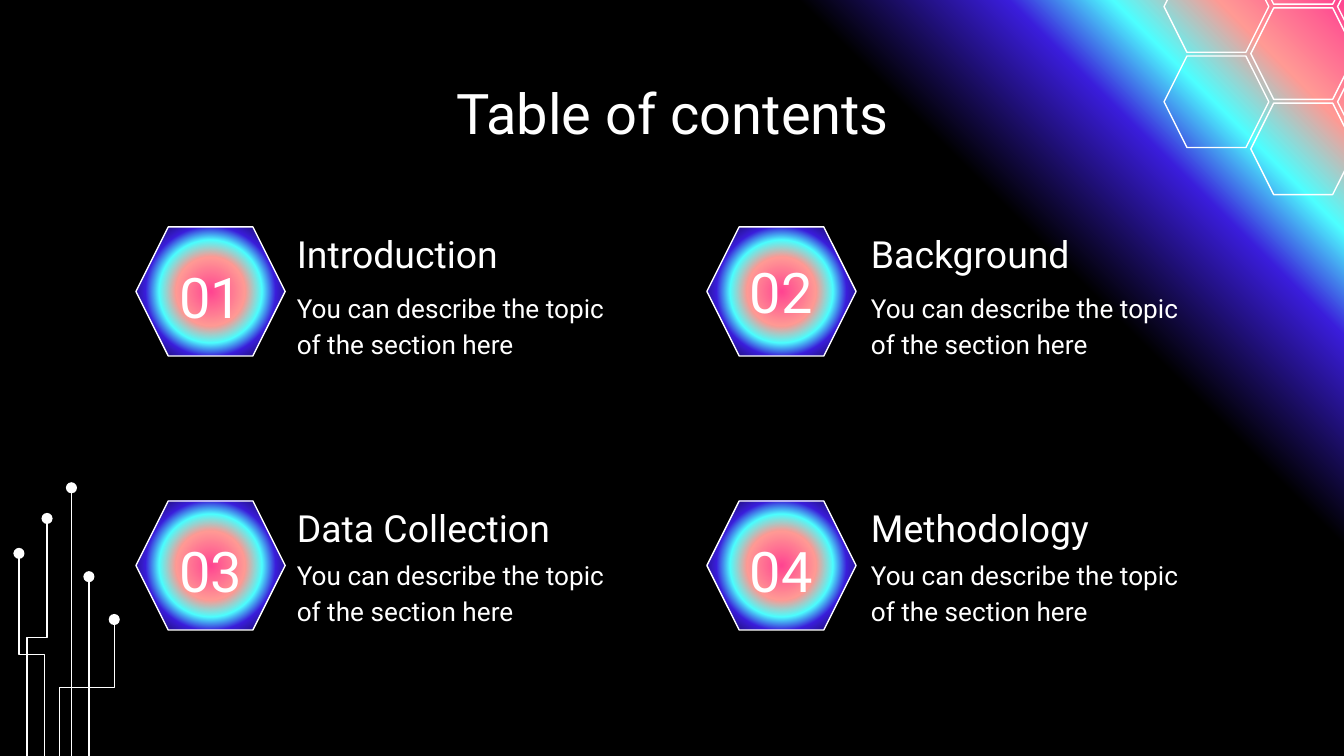
from dataclasses import dataclass

from lxml import etree
from pptx import Presentation
from pptx.dml.color import RGBColor
from pptx.enum.shapes import MSO_CONNECTOR, MSO_SHAPE
from pptx.enum.text import MSO_ANCHOR, PP_ALIGN
from pptx.oxml.ns import qn
from pptx.util import Cm, Pt

HEXAGON = MSO_SHAPE.HEXAGON
STRAIGHT, ELBOW = MSO_CONNECTOR.STRAIGHT, MSO_CONNECTOR.ELBOW
LEFT, CENTER = PP_ALIGN.LEFT, PP_ALIGN.CENTER
TOP, MIDDLE, BOTTOM = MSO_ANCHOR.TOP, MSO_ANCHOR.MIDDLE, MSO_ANCHOR.BOTTOM


@dataclass(frozen=True)
class Theme:
    font: str = "Roboto"
    white: RGBColor = RGBColor(255, 255, 255)
    black: str = "000000"
    blue: str = "3A1DDB"
    cyan: str = "4DFFFF"
    peach: str = "FF9A94"
    pink: str = "FF4491"
    gray: str = "737373"
    title: int = 30
    heading: int = 20
    body: int = 14
    line: float = 0.75


theme = Theme()


def set_gradient(fill, element, stops, angle=None):
    fill.gradient()
    grad = element.find(".//" + qn("a:gradFill"))
    for child in list(grad):
        grad.remove(child)
    stop_list = etree.SubElement(grad, qn("a:gsLst"))
    for pos, color in stops:
        gs = etree.SubElement(stop_list, qn("a:gs"), pos=str(pos * 1000))
        etree.SubElement(gs, qn("a:srgbClr"), val=color)
    if angle is None:
        circle = etree.SubElement(grad, qn("a:path"), path="circle")
        etree.SubElement(circle, qn("a:fillToRect"), l="50000", t="50000", r="50000", b="50000")
    else:
        etree.SubElement(grad, qn("a:lin"), ang=str(angle * 60000), scaled="0")


def add_text(text, x, y, w, h, size, align=LEFT, anchor=TOP, spacing=1.15):
    tf = s.shapes.add_textbox(Cm(x), Cm(y), Cm(w), Cm(h)).text_frame
    tf.word_wrap = True
    tf.vertical_anchor = anchor
    tf.margin_left = tf.margin_right = tf.margin_top = tf.margin_bottom = Cm(0.25)
    p = tf.paragraphs[0]
    p.alignment = align
    p.line_spacing = spacing
    r = p.add_run()
    r.text = text
    r.font.name = theme.font
    r.font.size = Pt(size)
    r.font.color.rgb = theme.white


prs = Presentation()
prs.slide_width, prs.slide_height = Cm(25.4), Cm(14.29)
s = prs.slides.add_slide(prs.slide_layouts[6])
set_gradient(s.background.fill, s._element, [
    (0, theme.black), (74, theme.black), (84, theme.blue), (89, theme.cyan),
    (94, theme.peach), (100, theme.pink), (100, theme.gray),
], angle=315)

trace_bottom = 14.29
traces = [(0.84, 0.36, 10.46), (0.51, 0.89, 9.8), (1.68, 1.68, 10.9),
          (1.35, 1.35, 9.22), (1.12, 2.16, 11.71)]
for x0, x1, top in traces:
    if x0 == x1:
        trace = s.shapes.add_connector(STRAIGHT, Cm(x0), Cm(trace_bottom), Cm(x1), Cm(top))
    else:
        cx, cy = (x0 + x1) / 2, (trace_bottom + top) / 2
        half_w = (trace_bottom - top) / 2 * (1 if x1 > x0 else -1)
        half_h = abs(x1 - x0) / 2
        trace = s.shapes.add_connector(ELBOW, Cm(cx - half_w), Cm(cy - half_h),
                                       Cm(cx + half_w), Cm(cy + half_h))
        turn = 270 if x1 > x0 else 90
        trace._element.spPr.find(qn("a:xfrm")).set("rot", str(turn * 60000))
    trace.line.color.rgb = theme.white
    trace.line.width = Pt(theme.line)
    etree.SubElement(trace.line._get_or_add_ln(), qn("a:tailEnd"), type="oval")
    etree.SubElement(trace._element.spPr, qn("a:effectLst"))

for col, (first_top, count) in enumerate([(-0.74, 2), (-1.65, 3), (-0.74, 2)]):
    for row in range(count):
        sp = s.shapes.add_shape(HEXAGON, Cm(22 + 1.64 * col), Cm(first_top + 1.8 * row),
                                Cm(1.98), Cm(1.73))
        sp.shadow.inherit = False
        sp.fill.background()
        sp.line.color.rgb = theme.white
        sp.line.width = Pt(theme.line)

add_text("Table of contents", 2.01, 1.24, 21.41, 1.6, theme.title, align=CENTER, spacing=1)

columns = [(2.57, 5.36), (13.36, 16.21)]
rows = [(4.29, 5.18), (9.47, 10.24)]
sections = [("01", "Introduction", 1.15), ("02", "Background", 1),
            ("03", "Data Collection", 1.15), ("04", "Methodology", 1.15)]
for i, (number, heading, spacing) in enumerate(sections):
    x, text_x = columns[i % 2]
    y, body_y = rows[i // 2]
    sp = s.shapes.add_shape(HEXAGON, Cm(x), Cm(y), Cm(2.82), Cm(2.44))
    sp.shadow.inherit = False
    set_gradient(sp.fill, sp._element, [
        (0, theme.pink), (35, theme.peach), (52, theme.cyan), (66, theme.blue), (100, theme.black),
    ])
    sp.line.color.rgb = theme.white
    sp.line.width = Pt(theme.line)
    add_text(number, x + 0.23, y + 0.33, 2.36, 1.78, theme.title,
             align=CENTER, anchor=MIDDLE, spacing=spacing)
    add_text(heading, text_x, y - 0.23, 6.48, 1.4, theme.heading, anchor=BOTTOM)
    add_text("You can describe the topic of the section here",
             text_x, body_y, 6.48, 1.75, theme.body)

prs.save("out.pptx")
